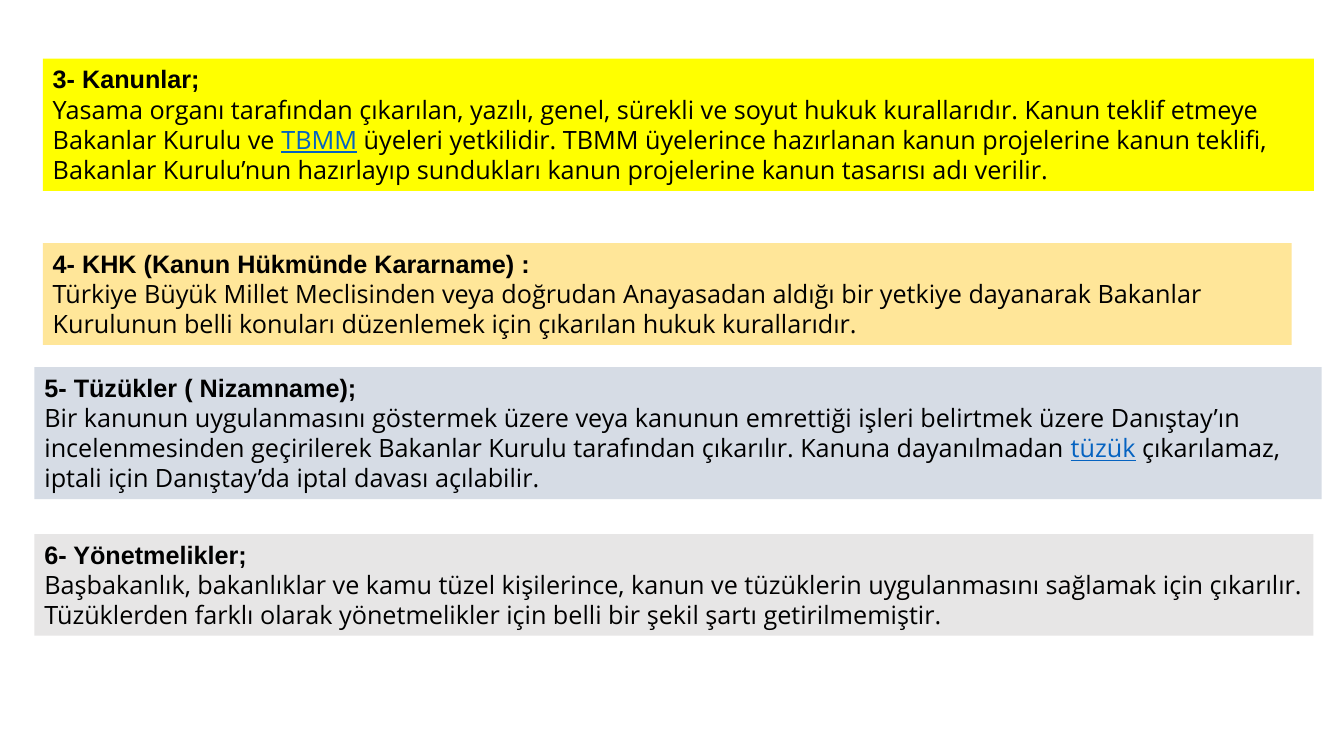
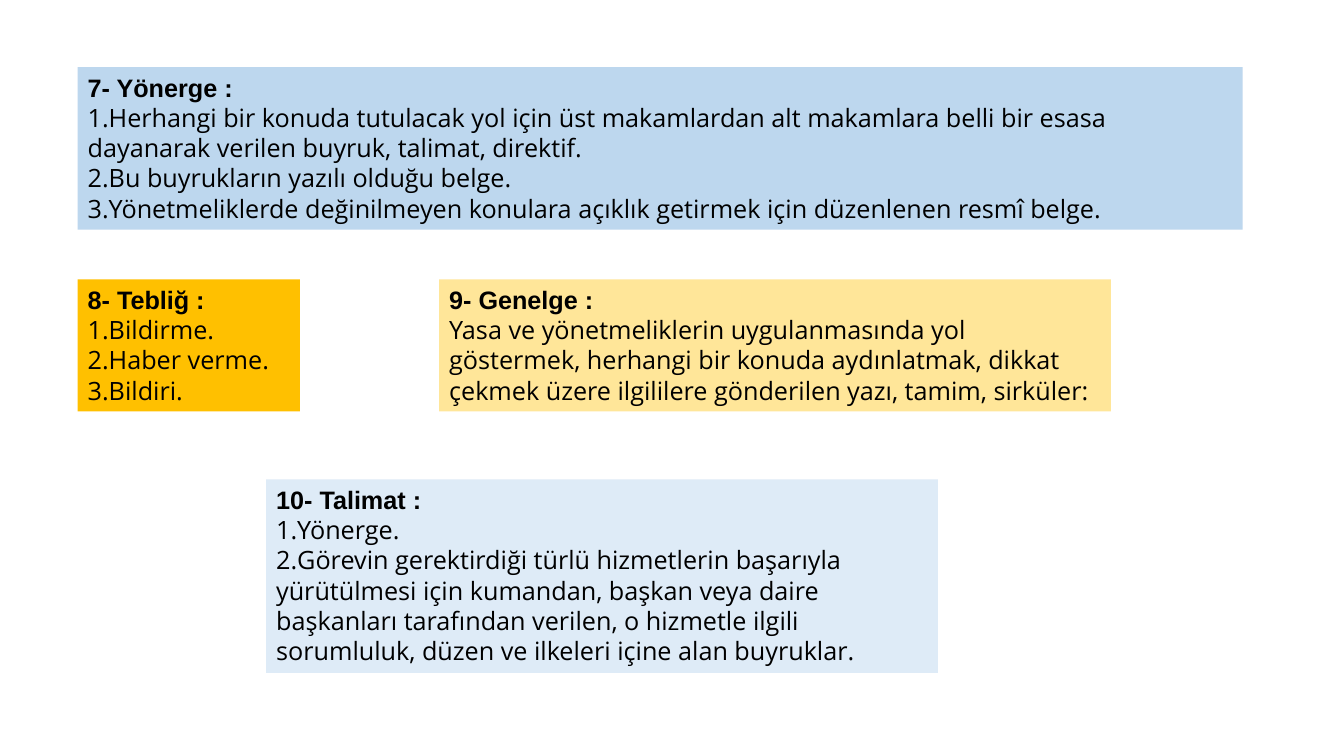
from lxml import etree
from pptx import Presentation
from pptx import util as u
from pptx.dml.color import RGBColor
from pptx.enum import shapes, text
from pptx.oxml.ns import qn

HEADING_FONT = "Arial"
BODY_FONT = "Open Sans"
BLACK = "000000"
LINK = "0563C1"
YELLOW = "FFFF00"
CREAM = "FFE699"
SLATE = "D6DCE5"
GREY = "E7E6E6"
BLUE = "BDD7EE"
GOLD = "FFC000"
PALE_BLUE = "DEEBF7"
TEXT_SIZE = u.Pt(18)
LINE_PITCH = u.Pt(21.6)

LAWS = [
    ((1.08, 1.48, 32.03, 3.33), YELLOW, "3- Kanunlar;",
     ["Yasama organı tarafından çıkarılan, yazılı, genel, sürekli ve soyut hukuk kurallarıdır. "
      "Kanun teklif etmeye Bakanlar Kurulu ve |TBMM| üyeleri yetkilidir. TBMM üyelerince "
      "hazırlanan kanun projelerine kanun teklifi, Bakanlar Kurulu’nun hazırlayıp sundukları "
      "kanun projelerine kanun tasarısı adı verilir."], False),
    ((1.08, 6.13, 31.47, 2.56), CREAM, "4- KHK (Kanun Hükmünde Kararname) :",
     ["Türkiye Büyük Millet Meclisinden veya doğrudan Anayasadan aldığı bir yetkiye dayanarak "
      "Bakanlar Kurulunun belli konuları düzenlemek için çıkarılan hukuk kurallarıdır."], False),
    ((0.87, 9.25, 32.44, 3.33), SLATE, "5- Tüzükler ( Nizamname);",
     ["Bir kanunun uygulanmasını göstermek üzere veya kanunun emrettiği işleri belirtmek üzere "
      "Danıştay’ın incelenmesinden geçirilerek Bakanlar Kurulu tarafından çıkarılır. Kanuna "
      "dayanılmadan |tüzük| çıkarılamaz, iptali için Danıştay’da iptal davası açılabilir."], False),
    ((0.87, 13.46, 32.23, 2.56), GREY, "6- Yönetmelikler;",
     ["Başbakanlık, bakanlıklar ve kamu tüzel kişilerince, kanun ve tüzüklerin uygulanmasını "
      "sağlamak için çıkarılır. Tüzüklerden farklı olarak yönetmelikler için belli bir şekil "
      "şartı getirilmemiştir."], False),
]

DIRECTIVES = [
    ((1.96, 1.69, 29.36, 4.1), BLUE, "7- Yönerge :",
     ["Herhangi bir konuda tutulacak yol için üst makamlardan alt makamlara belli bir esasa "
      "dayanarak verilen buyruk, talimat, direktif.",
      "Bu buyrukların yazılı olduğu belge.",
      "Yönetmeliklerde değinilmeyen konulara açıklık getirmek için düzenlenen resmî belge."], True),
    ((1.96, 7.04, 5.6, 3.33), GOLD, "8- Tebliğ :",
     ["Bildirme.", "Haber verme.", "Bildiri."], True),
    ((11.07, 7.04, 16.93, 3.33), CREAM, "9- Genelge :",
     ["Yasa ve yönetmeliklerin uygulanmasında yol göstermek, herhangi bir konuda aydınlatmak, "
      "dikkat çekmek üzere ilgililere gönderilen yazı, tamim, sirküler:"], False),
    ((6.71, 12.08, 16.93, 4.88), PALE_BLUE, "10- Talimat :",
     ["Yönerge.",
      "Görevin gerektirdiği türlü hizmetlerin başarıyla yürütülmesi için kumandan, başkan veya "
      "daire başkanları tarafından verilen, o hizmetle ilgili sorumluluk, düzen ve ilkeleri "
      "içine alan buyruklar."], True),
]


def colour(target, value):
    target.rgb = RGBColor.from_string(value)


def add_span(para, wording, font, bold=False, link=False):
    span = para.add_run()
    span.text = wording
    span.font.name = font
    span.font.size = TEXT_SIZE
    span.font.bold = bold
    span.font.underline = link
    colour(span.font.color, LINK if link else BLACK)


def format_paragraph(para):
    para.alignment = text.PP_ALIGN.LEFT
    para.line_spacing = LINE_PITCH


def number_paragraph(para):
    properties = para._p.get_or_add_pPr()
    etree.SubElement(properties, qn("a:buFont"), typeface="+mj-lt")
    etree.SubElement(properties, qn("a:buAutoNum"), type="arabicPeriod")


def add_panel(page, bounds, fill, heading, body, numbered):
    box = page.shapes.add_shape(shapes.MSO_SHAPE.RECTANGLE, *map(u.Cm, bounds))
    box.shadow.inherit = False
    box.fill.solid()
    colour(box.fill.fore_color, fill)
    box.line.fill.background()
    frame = box.text_frame
    frame.word_wrap = True
    frame.vertical_anchor = text.MSO_ANCHOR.TOP
    title = frame.paragraphs[0]
    format_paragraph(title)
    add_span(title, heading, HEADING_FONT, bold=True)
    for wording in body:
        para = frame.add_paragraph()
        format_paragraph(para)
        if numbered:
            number_paragraph(para)
        for index, part in enumerate(wording.split("|")):
            add_span(para, part, BODY_FONT, link=index % 2 == 1)


def add_page(deck, panels):
    page = deck.slides.add_slide(deck.slide_layouts[6])
    for panel in panels:
        add_panel(page, *panel)


def main():
    deck = Presentation()
    deck.slide_width = u.Cm(33.87)
    deck.slide_height = u.Cm(19.05)
    for panels in (LAWS, DIRECTIVES):
        add_page(deck, panels)
    deck.save("out.pptx")


if __name__ == "__main__":
    main()
